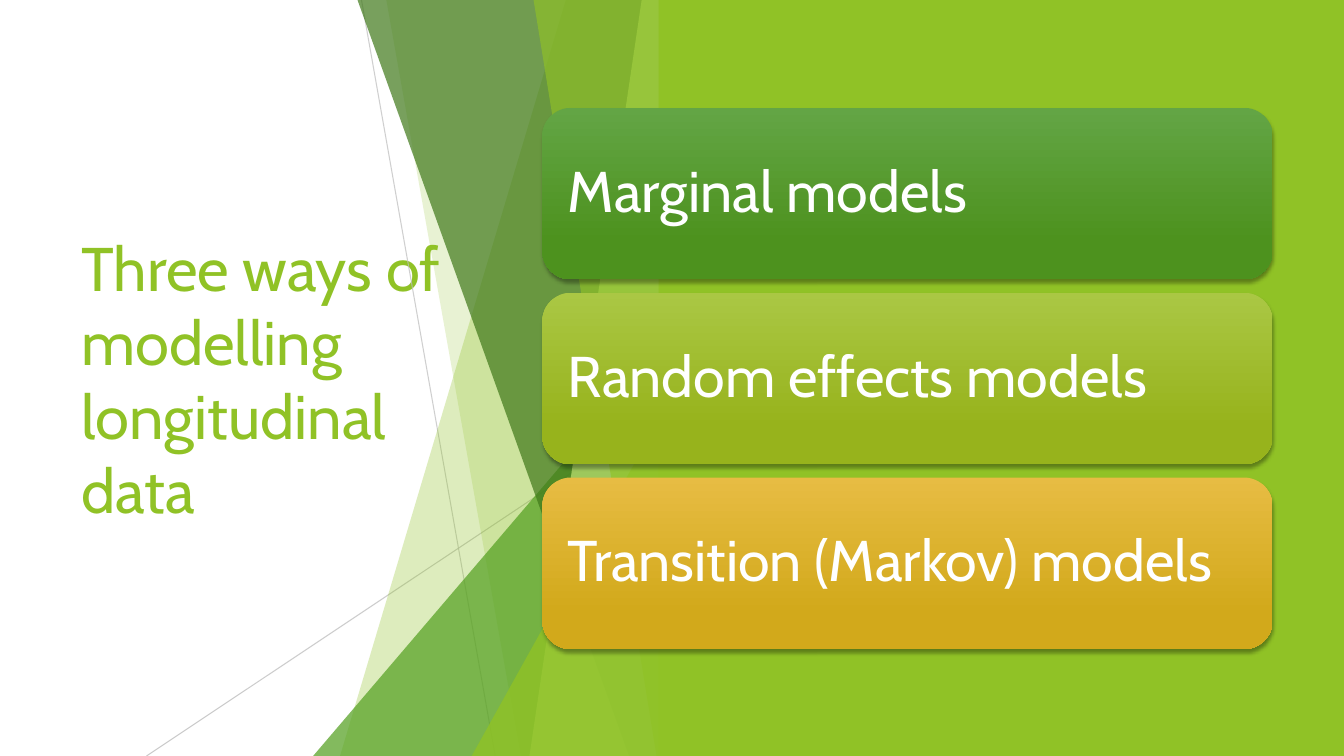
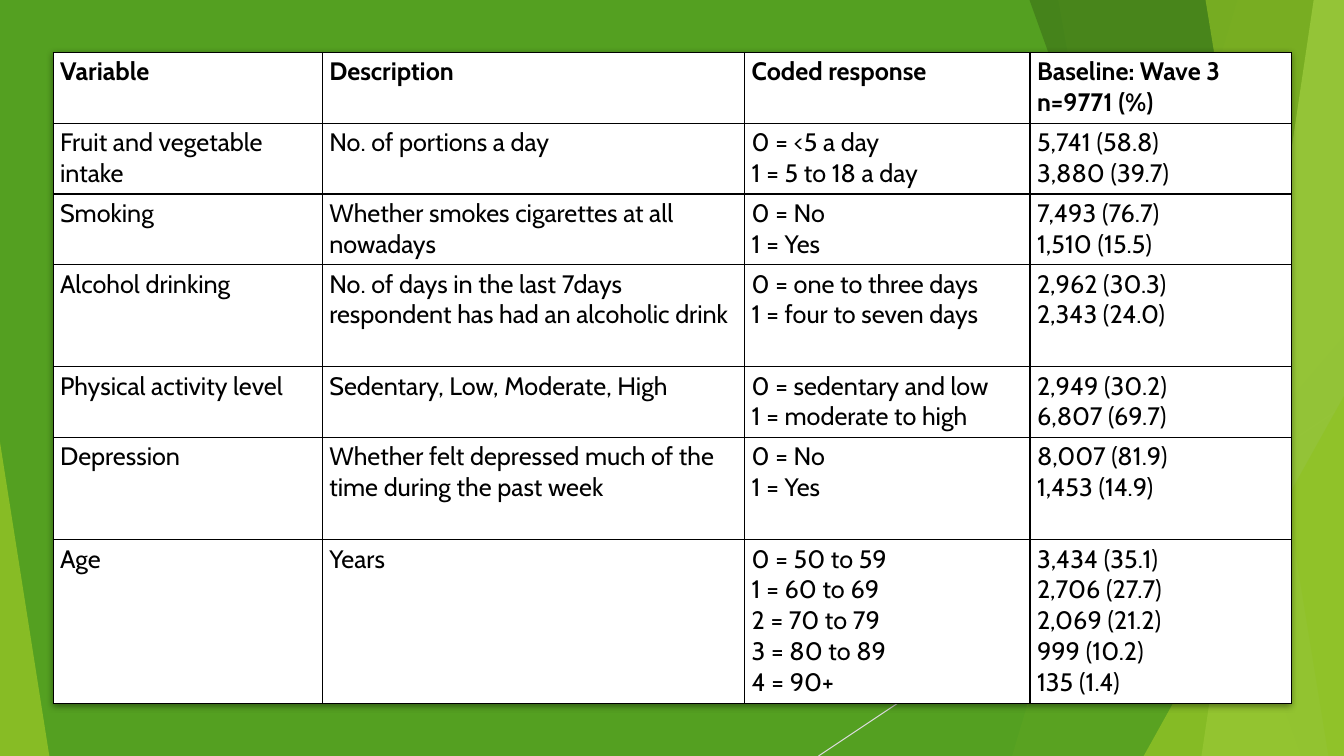
from lxml.etree import SubElement
from pptx import Presentation
from pptx.dml.color import RGBColor
from pptx.enum.shapes import MSO_CONNECTOR, MSO_SHAPE
from pptx.enum.text import MSO_ANCHOR, PP_ALIGN
from pptx.oxml.ns import qn
from pptx.util import Inches, Pt

FONT = "Cabin"
WHITE = RGBColor(0xFF, 0xFF, 0xFF)
BLACK = RGBColor(0x00, 0x00, 0x00)
GREY = RGBColor(0xBF, 0xBF, 0xBF)
LIGHT_GREY = RGBColor(0xD9, 0xD9, 0xD9)
LIME = RGBColor(0x90, 0xC2, 0x26)
PALE_LIME = RGBColor(0xC0, 0xE4, 0x74)
GREEN = RGBColor(0x54, 0xA0, 0x21)
DARK_GREEN = RGBColor(0x3F, 0x78, 0x19)
CARD_GREEN = [RGBColor(0x63, 0xA5, 0x45), RGBColor(0x4D, 0x92, 0x1E)]
CARD_LIME = [RGBColor(0xAA, 0xC7, 0x44), RGBColor(0x97, 0xB3, 0x1C)]
CARD_GOLD = [RGBColor(0xE7, 0xBC, 0x43), RGBColor(0xD2, 0xA9, 0x1B)]


def paint(shape, fill, colour, opacity=100, shadow=None):
    properties = shape.element.spPr
    if isinstance(colour, list):
        fill.gradient()
        for stop, stop_colour, position in zip(fill.gradient_stops, colour, (0, 0.78)):
            stop.color.rgb = stop_colour
            stop.position = position
        gradient = properties.find(qn("a:gradFill"))
        for direction in gradient[1:]:
            gradient.remove(direction)
        SubElement(gradient, qn("a:lin"), ang="5400000", scaled="0")
    else:
        fill.solid()
        fill.fore_color.rgb = colour
    if opacity < 100:
        for colour_node in properties.iter(qn("a:srgbClr")):
            SubElement(colour_node, qn("a:alpha"), val=str(opacity * 1000))
    effects = SubElement(properties, qn("a:effectLst"))
    if shadow:
        blur, distance, shadow_opacity = shadow
        outer = SubElement(effects, qn("a:outerShdw"), blurRad=str(int(Pt(blur))),
                           dist=str(int(Pt(distance))), dir="5400000", rotWithShape="0")
        shadow_colour = SubElement(outer, qn("a:srgbClr"), val=str(BLACK))
        SubElement(shadow_colour, qn("a:alpha"), val=str(shadow_opacity * 1000))


def write_text(frame, text, size, colour, bold=False, spacing=1.0):
    frame.word_wrap = True
    for index, line in enumerate(text.split("\n")):
        paragraph = frame.add_paragraph() if index else frame.paragraphs[0]
        paragraph.alignment = PP_ALIGN.LEFT
        paragraph.line_spacing = spacing
        run = paragraph.add_run()
        run.text = line
        run.font.name = FONT
        run.font.size = Pt(size)
        run.font.bold = bold
        run.font.color.rgb = colour


presentation = Presentation()
presentation.slide_width = Inches(13.333)
presentation.slide_height = Inches(7.5)
X = presentation.slide_width / 100
Y = presentation.slide_height / 100
blank = presentation.slide_layouts[6]
models_slide = presentation.slides.add_slide(blank)
variables_slide = presentation.slides.add_slide(blank)
variables_slide.background.fill.solid()
variables_slide.background.fill.fore_color.rgb = GREEN

title = models_slide.shapes.add_textbox(
    int(5.3 * X), int(20.1 * Y), int(29.1 * X), int(59.7 * Y))
title.text_frame.vertical_anchor = MSO_ANCHOR.MIDDLE
write_text(title.text_frame, "Three ways of modelling longitudinal data", 44, LIME)

STEEP_RAY = (76.9, 0, 86.85, 100)
FLAT_RAY = (100, 53.7, 60.9, 100)
FACETS = [
    ("band", 92.1, 75.3, LIME, 30),
    ("band", 78.75, 88.75, LIME, 20),
    ("corner", 73.3, 44.4, GREEN, 72),
    ("band", 76.6, 96.8, DARK_GREEN, 70),
    ("band", 97.75, 89.4, PALE_LIME, 70),
    ("band", 89.7, 98.85, LIME, 65),
    ("corner", 85.1, 52.4, LIME, 80),
]
DECORATIONS = [
    (models_slide, 50, [(STEEP_RAY, GREY, 75), (FLAT_RAY, GREY, 80)]),
    (variables_slide, 100, [(FLAT_RAY, LIGHT_GREY, 100)]),
]
for slide, right, rays in DECORATIONS:
    shift = right - 100
    for (start_x, start_y, end_x, end_y), colour, opacity in rays:
        ray = slide.shapes.add_connector(
            MSO_CONNECTOR.STRAIGHT, int((start_x + shift) * X), int(start_y * Y),
            int((end_x + shift) * X), int(end_y * Y))
        ray.line.width = Pt(0.75)
        paint(ray, ray.line.fill, colour, opacity)
    for kind, first, second, colour, opacity in FACETS:
        left = first + shift
        if kind == "band":
            builder = slide.shapes.build_freeform(int(left * X), 0)
            corners = [(right, 0), (right, 100), (second + shift, 100)]
            builder.add_line_segments([(int(x * X), int(y * Y)) for x, y in corners])
            facet = builder.convert_to_shape()
        else:
            facet = slide.shapes.add_shape(
                MSO_SHAPE.ISOSCELES_TRIANGLE, int(left * X), int(second * Y),
                int((right - left) * X), int((100 - second) * Y))
            facet.adjustments[0] = 1
        facet.line.fill.background()
        paint(facet, facet.fill, colour, opacity)

panel = models_slide.shapes.add_shape(
    MSO_SHAPE.RECTANGLE, int(49 * X), 0, int(51 * X), int(100 * Y))
panel.line.fill.background()
paint(panel, panel.fill, LIME)

CARDS = [
    ("Marginal models", CARD_GREEN),
    ("Random effects models", CARD_LIME),
    ("Transition (Markov) models", CARD_GOLD),
]
for index, (label, colours) in enumerate(CARDS):
    card = models_slide.shapes.add_shape(
        MSO_SHAPE.ROUNDED_RECTANGLE, int(40.35 * X), int((14.27 + 24.45 * index) * Y),
        int(54.35 * X), int(22.7 * Y))
    card.line.fill.background()
    paint(card, card.fill, colours, shadow=(3, 2, 35))
    frame = card.text_frame
    frame.vertical_anchor = MSO_ANCHOR.MIDDLE
    frame.margin_left = frame.margin_right = Inches(0.17)
    write_text(frame, label, 41, WHITE, spacing=0.9)

left_corner = variables_slide.shapes.add_shape(
    MSO_SHAPE.ISOSCELES_TRIANGLE, 0, int(58.5 * Y), int(3.67 * X), int(41.5 * Y))
left_corner.adjustments[0] = 0
left_corner.line.fill.background()
paint(left_corner, left_corner.fill, LIME, 85)

TABLE_LEFT, TABLE_TOP = 3.95, 6.95
COLUMN_SHARES = [20.03, 31.43, 21.23, 19.43]
ROW_SHARES = [9.36, 9.36, 9.36, 13.5, 9.36, 13.5, 21.7]
ROWS = [
    ("Variable", "Description", "Coded response", "Baseline: Wave 3\nn=9771 (%)"),
    ("Fruit and vegetable intake", "No. of portions a day",
     "0 = <5 a day\n1 = 5 to 18 a day", "5,741 (58.8)\n3,880 (39.7)"),
    ("Smoking", "Whether smokes cigarettes at all nowadays",
     "0 = No\n1 = Yes", "7,493 (76.7)\n1,510 (15.5)"),
    ("Alcohol drinking", "No. of days in the last 7days respondent has had an alcoholic drink",
     "0 = one to three days\n1 = four to seven days", "2,962 (30.3)\n2,343 (24.0)"),
    ("Physical activity level", "Sedentary, Low, Moderate, High",
     "0 = sedentary and low\n1 = moderate to high", "2,949 (30.2)\n6,807 (69.7)"),
    ("Depression", "Whether felt depressed much of the time during the past week",
     "0 = No\n1 = Yes", "8,007 (81.9)\n1,453 (14.9)"),
    ("Age", "Years",
     "0 = 50 to 59\n1 = 60 to 69\n2 = 70 to 79\n3 = 80 to 89\n4 = 90+",
     "3,434 (35.1)\n2,706 (27.7)\n2,069 (21.2)\n999 (10.2)\n135 (1.4)"),
]
table_area = (int(TABLE_LEFT * X), int(TABLE_TOP * Y),
              int(sum(COLUMN_SHARES) * X), int(sum(ROW_SHARES) * Y))
backing = variables_slide.shapes.add_shape(MSO_SHAPE.RECTANGLE, *table_area)
backing.line.fill.background()
paint(backing, backing.fill, WHITE, shadow=(5, 1.4, 43))

table = variables_slide.shapes.add_table(len(ROWS), len(COLUMN_SHARES), *table_area).table
table.first_row = table.horz_banding = False
for column, share in zip(table.columns, COLUMN_SHARES):
    column.width = int(share * X)
for row_index, (row, share, texts) in enumerate(zip(table.rows, ROW_SHARES, ROWS)):
    row.height = int(share * Y)
    for cell, text in zip(row.cells, texts):
        cell.margin_left = cell.margin_right = Inches(0.07)
        cell.margin_top = cell.margin_bottom = Inches(0.04)
        cell_properties = cell._tc.get_or_add_tcPr()
        for side in ("a:lnL", "a:lnR", "a:lnT", "a:lnB"):
            border = SubElement(cell_properties, qn(side), w=str(int(Pt(1))))
            border_fill = SubElement(border, qn("a:solidFill"))
            SubElement(border_fill, qn("a:srgbClr"), val=str(BLACK))
        cell.fill.solid()
        cell.fill.fore_color.rgb = WHITE
        write_text(cell.text_frame, text, 18, BLACK, bold=row_index == 0)

presentation.save("out.pptx")
